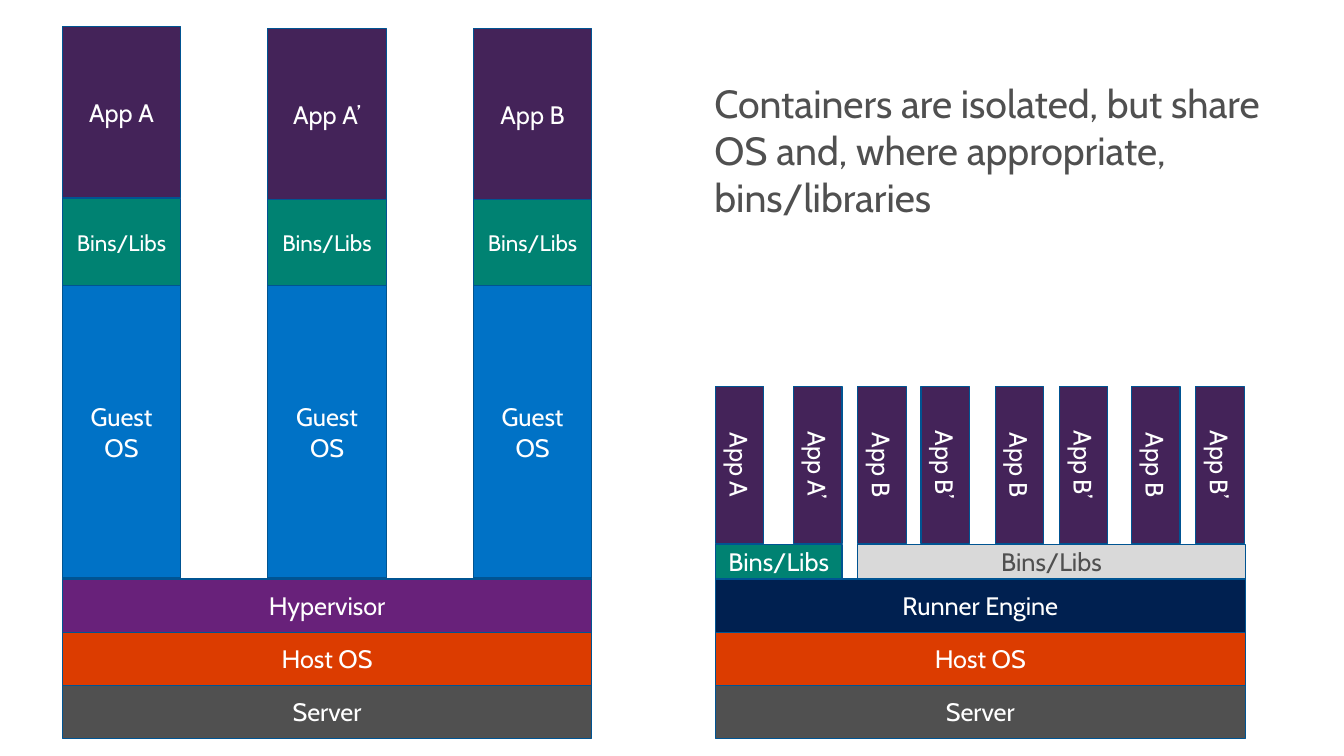
"""Build a slide comparing virtual machine stacks with container stacks."""
import pptx
import pptx.dml.color
import pptx.enum.shapes
import pptx.enum.text
import pptx.util

Inches = pptx.util.Inches
Pt = pptx.util.Pt

FONT = "Cabin"
WHITE, GREY, OUTLINE = "FFFFFF", "505050", "005492"
PURPLE, GREEN, BLUE = "442359", "008272", "0072C6"

HEADLINE = "Containers are isolated, but share OS and, where appropriate, bins/libraries"

HOST_LAYERS = [("Server", GREY), ("Host OS", "DC3C00")]
PLATFORMS = [
    (0.63, HOST_LAYERS + [("Hypervisor", "68217A")]),
    (7.24, HOST_LAYERS + [("Runner Engine", "002050")]),
]
PLATFORM_WIDTH = 5.36
LAYER_TOP, LAYER_HEIGHT, LAYER_STEP = 6.93, 0.54, 0.535

MACHINE_APPS = [("App A", 0.27), ("App A’", 0.29), ("App B", 0.29)]
MACHINE_LEFT, MACHINE_STEP, MACHINE_WIDTH = 0.63, 2.08, 1.2

SHARED_LIBRARIES = [(7.24, 1.28, GREEN, WHITE), (8.68, 3.92, "D9D9D9", GREY)]

CONTAINER_APPS = [
    ("App A", 7.24), ("App A’", 8.03),
    ("App B", 8.68), ("App B’", 9.32),
    ("App B", 10.07), ("App B’", 10.72),
    ("App B", 11.45), ("App B’", 12.1),
]


def rgb(value):
    """Turn a hex string into a colour."""
    return pptx.dml.color.RGBColor.from_string(value)


def format_text(paragraph, size, color, alignment):
    """Set the font and alignment of a paragraph."""
    paragraph.alignment = alignment
    paragraph.font.name = FONT
    paragraph.font.size = Pt(size)
    paragraph.font.color.rgb = rgb(color)


def add_block(slide, text, left, top, width, height, fill, color=WHITE, size=18.4, vertical=False):
    """Add one labelled rectangle."""
    shape = slide.shapes.add_shape(
        pptx.enum.shapes.MSO_SHAPE.RECTANGLE,
        Inches(left), Inches(top), Inches(width), Inches(height))
    shape.shadow.inherit = False
    shape.fill.solid()
    shape.fill.fore_color.rgb = rgb(fill)
    shape.line.color.rgb = rgb(OUTLINE)
    shape.line.width = Pt(0.85)
    frame = shape.text_frame
    frame.word_wrap = True
    frame.vertical_anchor = pptx.enum.text.MSO_ANCHOR.MIDDLE
    if vertical:
        shape.element.txBody.bodyPr.set("vert", "vert")
    paragraph = frame.paragraphs[0]
    paragraph.text = text
    format_text(paragraph, size, color, pptx.enum.text.PP_ALIGN.CENTER)


def add_headline(slide):
    """Place and format the title."""
    title = slide.shapes.title
    title.left, title.top = Inches(7.13), Inches(0.75)
    title.width, title.height = Inches(5.8), Inches(1.57)
    frame = title.text_frame
    frame.text = HEADLINE
    frame.word_wrap = True
    frame.auto_size = pptx.enum.text.MSO_AUTO_SIZE.SHAPE_TO_FIT_TEXT
    frame.vertical_anchor = pptx.enum.text.MSO_ANCHOR.TOP
    format_text(frame.paragraphs[0], 28.6, GREY, pptx.enum.text.PP_ALIGN.LEFT)


def main():
    """Create the presentation and save it."""
    presentation = pptx.Presentation()
    presentation.slide_width = Inches(13.6)
    presentation.slide_height = Inches(7.65)
    slide = presentation.slides.add_slide(presentation.slide_layouts[5])
    add_headline(slide)

    for left, layers in PLATFORMS:
        for index, (text, fill) in enumerate(layers):
            top = LAYER_TOP - index * LAYER_STEP
            add_block(slide, text, left, top, PLATFORM_WIDTH, LAYER_HEIGHT, fill)

    for index, (app, top) in enumerate(MACHINE_APPS):
        left = MACHINE_LEFT + index * MACHINE_STEP
        add_block(slide, "Guest OS", left, 2.89, MACHINE_WIDTH, 2.96, BLUE)
        add_block(slide, "Bins/Libs", left, 2.01, MACHINE_WIDTH, 0.88, GREEN, size=16.3)
        add_block(slide, app, left, top, MACHINE_WIDTH, 1.73, PURPLE)

    for left, width, fill, color in SHARED_LIBRARIES:
        add_block(slide, "Bins/Libs", left, 5.51, width, 0.35, fill, color)
    for app, left in CONTAINER_APPS:
        add_block(slide, app, left, 3.91, 0.49, 1.59, PURPLE, vertical=True)

    presentation.save("out.pptx")


if __name__ == "__main__":
    main()
